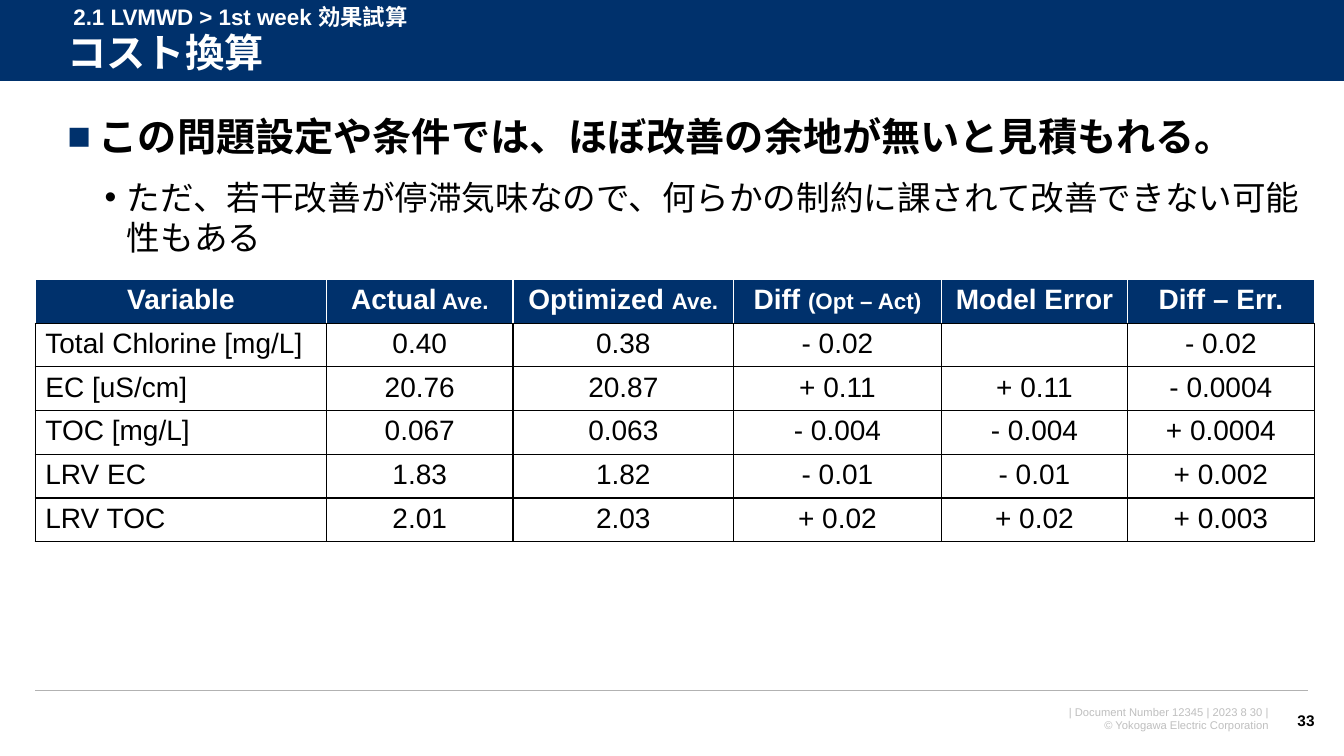
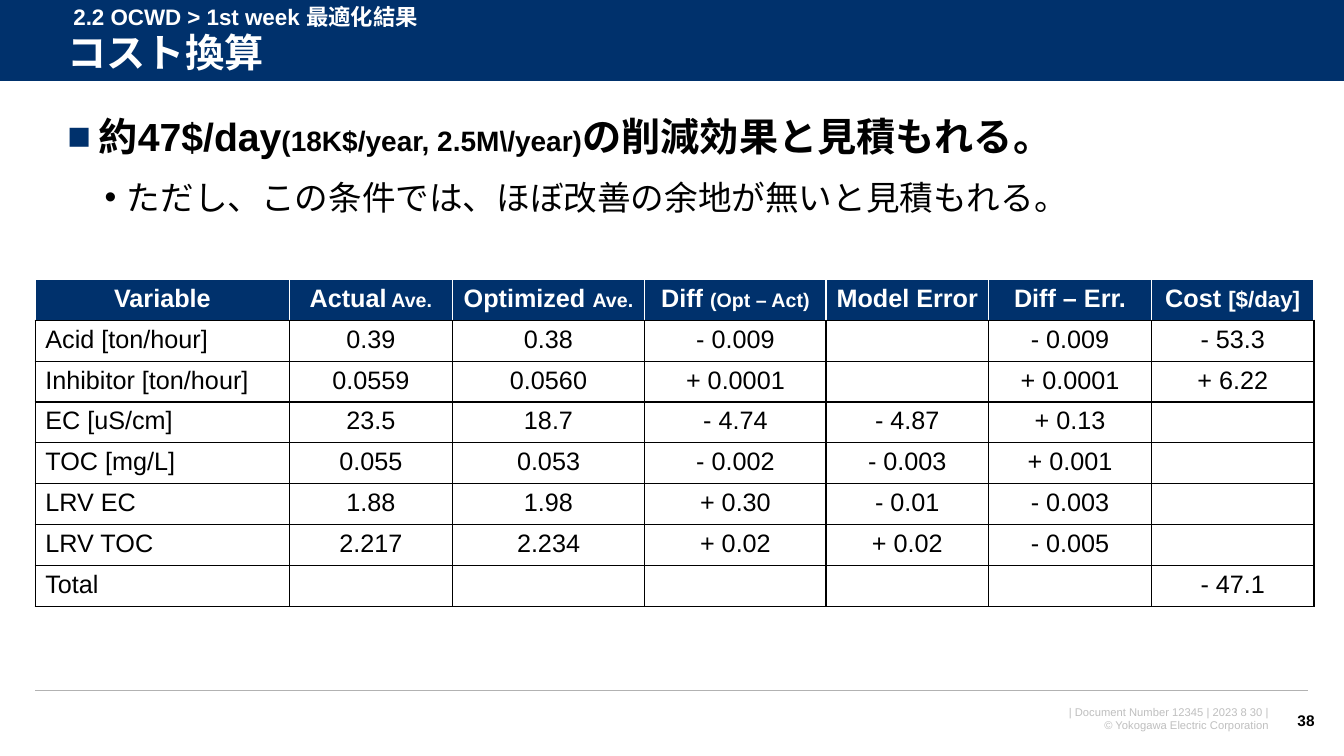
from lxml.etree import SubElement
from pptx import Presentation
from pptx.dml.color import RGBColor
from pptx.enum.shapes import MSO_CONNECTOR as Connector, MSO_SHAPE as Shape
from pptx.enum.text import MSO_ANCHOR as Anchor, MSO_AUTO_SIZE as AutoSize, PP_ALIGN as Align
from pptx.oxml.ns import qn
from pptx.util import Cm, Pt

NAVY, WHITE, BLACK = "00316C", "FFFFFF", "000000"
RULE_GREY, FOOTER_GREY = "B2B2B2", "BFBFBF"
FONT = "Arial"
SLIDE_WIDTH, SLIDE_HEIGHT = 33.87, 19.05
BAND_HEIGHT = 2.06
TABLE_LEFT, TABLE_TOP, TABLE_WIDTH = 0.89, 7.04, 32.23
FOOTER_TOP = 17.65
FOOTER = ["| Document Number 12345 | 2023 8 30 |", "© Yokogawa Electric Corporation"]
COLUMN_SHARES = [2.89, 1.85, 2.19, 2.06, 1.85, 1.85, 1.85]

# Mixed-size text is a list of (text, size) pairs; size None keeps the paragraph's size.
SLIDES = [
    {
        "section": "2.1 LVMWD > 1st week 効果試算",
        "title": "コスト換算",
        "number": "33",
        "message": [("この問題設定や条件では、ほぼ改善の余地が無いと見積もれる。", None)],
        "detail": "ただ、若干改善が停滞気味なので、何らかの制約に課されて改善できない可能性もある",
        "size": 20,
        "row_height": 1.1,
        "header": [
            [("Variable", None)],
            [("Actual", None), (" Ave.", 16)],
            [("Optimized ", None), ("Ave.", 16)],
            [("Diff ", None), ("(Opt – Act)", 16)],
            [("Model Error", None)],
            [("Diff – Err.", None)],
        ],
        "rows": [
            ["Total Chlorine [mg/L]", "0.40", "0.38", "- 0.02", "", "- 0.02"],
            ["EC [uS/cm]", "20.76", "20.87", "+ 0.11", "+ 0.11", "- 0.0004"],
            ["TOC [mg/L]", "0.067", "0.063", "- 0.004", "- 0.004", "+ 0.0004"],
            ["LRV EC", "1.83", "1.82", "- 0.01", "- 0.01", "+ 0.002"],
            ["LRV TOC", "2.01", "2.03", "+ 0.02", "+ 0.02", "+ 0.003"],
        ],
    },
    {
        "section": "2.2 OCWD > 1st week 最適化結果",
        "title": "コスト換算",
        "number": "38",
        "message": [
            ("約47$/day", None),
            ("(18K$/year, 2.5M\\/year)", 20),
            ("の削減効果と見積もれる。", None),
        ],
        "detail": "ただし、この条件では、ほぼ改善の余地が無いと見積もれる。",
        "size": 18,
        "row_height": 1.03,
        "header": [
            [("Variable", None)],
            [("Actual", None), (" Ave.", 14)],
            [("Optimized ", None), ("Ave.", 14)],
            [("Diff ", None), ("(Opt – Act)", 14)],
            [("Model Error", None)],
            [("Diff – Err.", None)],
            [("Cost ", None), ("[$/day]", 16)],
        ],
        "rows": [
            ["Acid [ton/hour]", "0.39", "0.38", "- 0.009", "", "- 0.009", "- 53.3"],
            ["Inhibitor [ton/hour]", "0.0559", "0.0560", "+ 0.0001", "", "+ 0.0001", "+ 6.22"],
            ["EC [uS/cm]", "23.5", "18.7", "- 4.74", "- 4.87", "+ 0.13", ""],
            ["TOC [mg/L]", "0.055", "0.053", "- 0.002", "- 0.003", "+ 0.001", ""],
            ["LRV EC", "1.88", "1.98", "+ 0.30", "- 0.01", "- 0.003", ""],
            ["LRV TOC", "2.217", "2.234", "+ 0.02", "+ 0.02", "- 0.005", ""],
            ["Total", "", "", "", "", "", "- 47.1"],
        ],
    },
]


def rgb(value):
    return RGBColor.from_string(value)


def write(paragraph, content, size, color, bold=False, align=Align.LEFT):
    """Fill a paragraph with a string or with (text, size) pairs."""
    paragraph.alignment = align
    font = paragraph.font
    font.name, font.size, font.bold = FONT, Pt(size), bold
    font.color.rgb = rgb(color)
    runs = [(content, None)] if isinstance(content, str) else content
    for text, run_size in runs:
        if text:
            run = paragraph.add_run()
            run.text = text
            if run_size:
                run.font.size = Pt(run_size)


def add_text_frame(slide, left, top, width, height):
    frame = slide.shapes.add_textbox(Cm(left), Cm(top), Cm(width), Cm(height)).text_frame
    frame.word_wrap = True
    return frame


def add_rule(slide, left, right, y, color, weight):
    rule = slide.shapes.add_connector(Connector.STRAIGHT, Cm(left), Cm(y), Cm(right), Cm(y))
    rule.line.color.rgb = rgb(color)
    rule.line.width = Pt(weight)
    SubElement(rule._element.spPr, qn("a:effectLst"))


def set_bullet(paragraph, symbol, indent, hanging, color):
    properties = paragraph._p.get_or_add_pPr()
    properties.set("marL", str(Cm(indent)))
    properties.set("indent", str(-Cm(hanging)))
    bullet_color = SubElement(properties, qn("a:buClr"))
    SubElement(bullet_color, qn("a:srgbClr"), val=color)
    SubElement(properties, qn("a:buFont"), typeface=FONT)
    SubElement(properties, qn("a:buChar"), char=symbol)


def set_borders(cell, side_color, top_color):
    properties = cell._tc.get_or_add_tcPr()
    sides = [("lnL", side_color), ("lnR", side_color), ("lnT", top_color), ("lnB", BLACK)]
    for side, color in sides:
        border = SubElement(properties, qn(f"a:{side}"), w=str(Pt(1)))
        fill = SubElement(border, qn("a:solidFill"))
        SubElement(fill, qn("a:srgbClr"), val=color)


def add_frame(slide, section, title_text, number):
    """Add the header band with its title, the footer and the page number."""
    title = slide.shapes.title
    band = slide.shapes.add_shape(Shape.RECTANGLE, 0, 0, Cm(SLIDE_WIDTH), Cm(BAND_HEIGHT))
    band.shadow.inherit = False
    band.fill.solid()
    band.fill.fore_color.rgb = rgb(NAVY)
    band.line.fill.background()
    title.element.addprevious(band.element)
    add_rule(slide, 0, SLIDE_WIDTH, BAND_HEIGHT, WHITE, 0.75)
    add_rule(slide, 0.89, 32.97, 17.4, RULE_GREY, 1)

    title.left, title.top, title.width, title.height = Cm(1.45), Cm(0.66), Cm(31.67), Cm(1.45)
    title.text_frame.auto_size = AutoSize.NONE
    title.text_frame.vertical_anchor = Anchor.MIDDLE
    heading = title.text_frame.paragraphs[0]
    heading.line_spacing = 0.9
    write(heading, title_text, 28, WHITE, bold=True)

    section_frame = add_text_frame(slide, 1.6, -0.05, 20, 0.94)
    write(section_frame.paragraphs[0], section, 16, WHITE, bold=True)

    footer = add_text_frame(slide, 24.08, FOOTER_TOP, 8.15, 0.94)
    for index, line in enumerate(FOOTER):
        paragraph = footer.add_paragraph() if index else footer.paragraphs[0]
        write(paragraph, line, 8, FOOTER_GREY, align=Align.RIGHT)

    page = add_text_frame(slide, 32.26, FOOTER_TOP, 1.12, 1.02)
    page.vertical_anchor = Anchor.MIDDLE
    write(page.paragraphs[0], number, 11, BLACK, bold=True, align=Align.RIGHT)


def add_message(slide, message, detail):
    frame = add_text_frame(slide, 1.45, 2.84, 31.93, 3.8)
    headline = frame.paragraphs[0]
    set_bullet(headline, "■", 0.79, 0.79, NAVY)
    headline.line_spacing = 0.9
    write(headline, message, 28, BLACK, bold=True)
    remark = frame.add_paragraph()
    remark.level = 1
    set_bullet(remark, "•", 1.5, 0.56, BLACK)
    remark.space_before = Pt(12)
    write(remark, detail, 24, BLACK)


def add_results(slide, header, rows, size, row_height):
    grid = [header] + rows
    shares = COLUMN_SHARES[:len(header)]
    table = slide.shapes.add_table(
        len(grid), len(header), Cm(TABLE_LEFT), Cm(TABLE_TOP),
        Cm(TABLE_WIDTH), Cm(row_height * len(grid))).table
    table.horz_banding = False
    for column, share in zip(table.columns, shares):
        column.width = Cm(TABLE_WIDTH * share / sum(shares))
    for r, values in enumerate(grid):
        table.rows[r].height = Cm(row_height)
        is_header = r == 0
        for c, content in enumerate(values):
            cell = table.cell(r, c)
            edge = WHITE if is_header else BLACK
            set_borders(cell, edge, edge)
            cell.fill.solid()
            cell.fill.fore_color.rgb = rgb(NAVY if is_header else WHITE)
            align = Align.CENTER if is_header or c else Align.LEFT
            write(cell.text_frame.paragraphs[0], content, size,
                  WHITE if is_header else BLACK, is_header, align)


def main():
    deck = Presentation()
    deck.slide_width, deck.slide_height = Cm(SLIDE_WIDTH), Cm(SLIDE_HEIGHT)
    title_only = deck.slide_layouts[5]
    for content in SLIDES:
        slide = deck.slides.add_slide(title_only)
        add_frame(slide, content["section"], content["title"], content["number"])
        add_message(slide, content["message"], content["detail"])
        add_results(slide, content["header"], content["rows"],
                    content["size"], content["row_height"])
    deck.save("out.pptx")


if __name__ == "__main__":
    main()
